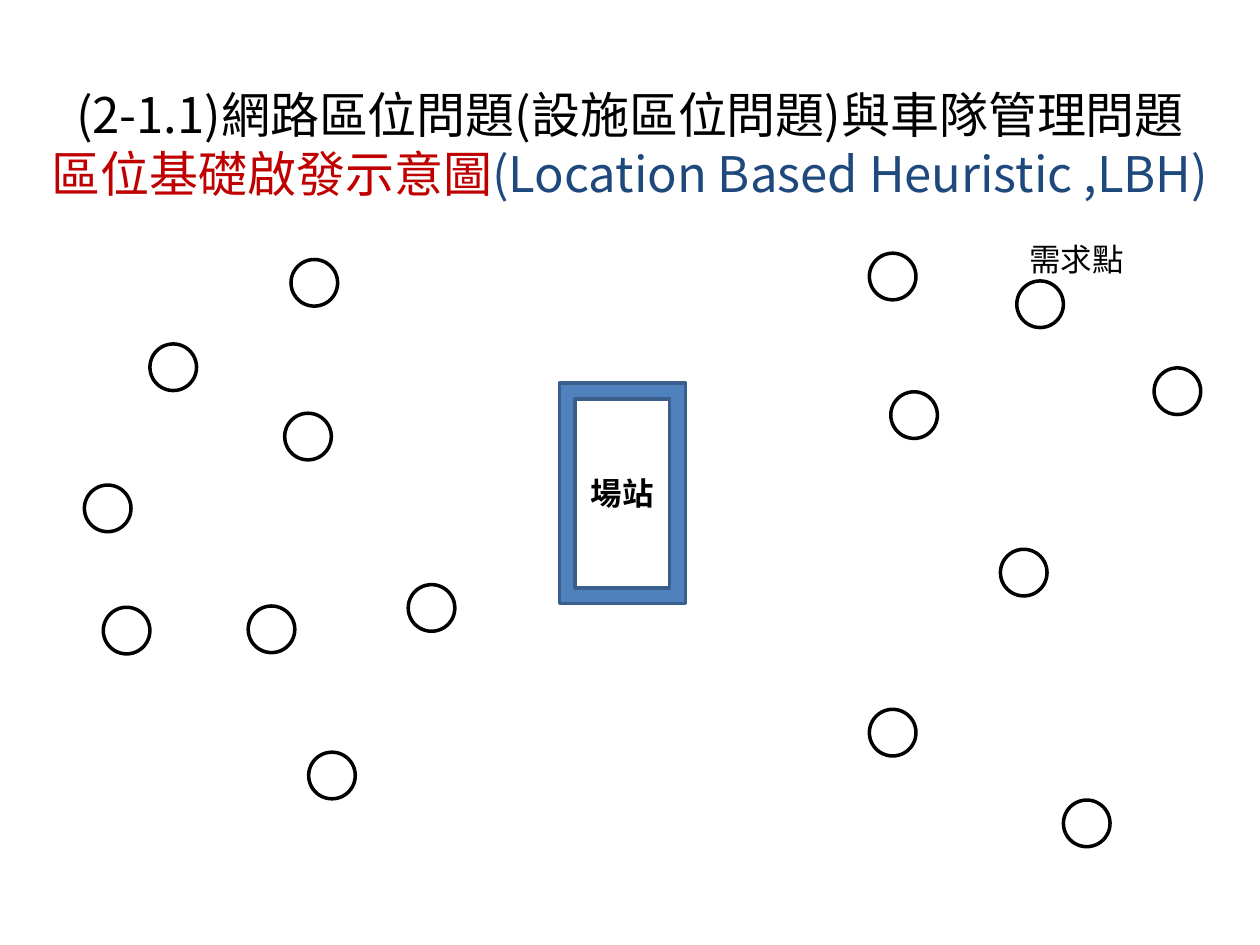
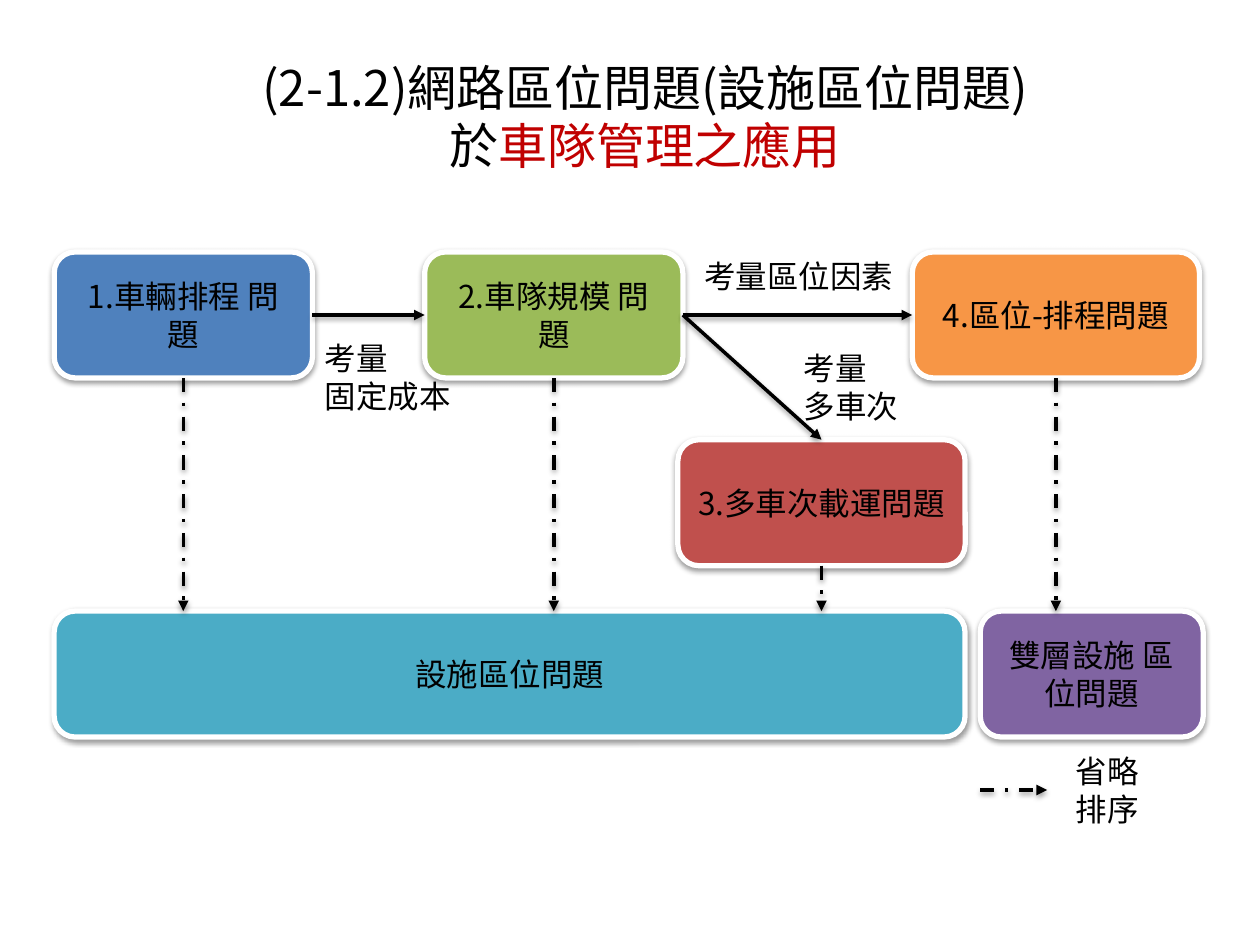
from lxml import etree
from pptx import Presentation
from pptx.dml.color import RGBColor
from pptx.enum.dml import MSO_LINE
from pptx.enum.shapes import MSO_CONNECTOR, MSO_SHAPE
from pptx.enum.text import MSO_ANCHOR, MSO_AUTO_SIZE, PP_ALIGN
from pptx.oxml.ns import qn
from pptx.util import Inches, Pt

STRAIGHT = MSO_CONNECTOR.STRAIGHT
OVAL, FRAME, ROUNDED = MSO_SHAPE.OVAL, MSO_SHAPE.FRAME, MSO_SHAPE.ROUNDED_RECTANGLE
DASH_DOT = MSO_LINE.DASH_DOT
LEFT, CENTER = PP_ALIGN.LEFT, PP_ALIGN.CENTER
MIDDLE = MSO_ANCHOR.MIDDLE
TOP_SIDE, LEFT_SIDE, BOTTOM_SIDE, RIGHT_SIDE = range(4)

FONT = "Noto Sans CJK SC"
COLORS = {
    "ink": "000000", "paper": "FFFFFF", "red": "C00000", "navy": "1F497D",
    "blue": "4F81BD", "blue_edge": "3A5F8C", "green": "9BBB59", "brick": "C0504D",
    "orange": "F79646", "aqua": "4BACC6", "purple": "8064A2",
}

# Slide 1: each run is (text, colour); lengths are inches
MAP_TITLE = [
    ("(2-1.1)網路區位問題(設施區位問題)與車隊管理問題\n", "ink"),
    ("區位基礎啟發示意圖", "red"),
    ("(Location Based Heuristic ,LBH)", "navy"),
]
DEMAND_SIZE = 0.37
DEMAND_POINTS = [
    (0.82, 4.82), (1.19, 2.73), (2.31, 2.06), (0.67, 3.85),
    (1.97, 4.81), (2.26, 3.28), (2.45, 5.97), (3.24, 4.64),
    (6.9, 2.01), (7.07, 3.11), (8.07, 2.23), (9.16, 2.92),
    (7.94, 4.36), (6.9, 5.63), (8.44, 6.35),
]
DEPOT = ("場站", (4.44, 3.04, 1, 1.75))
DEMAND_LABEL = (["需求點"], (8.07, 1.86, 0.96, 0.4))

# Slide 2
FLOW_TITLE = [("(2-1.2)網路區位問題(設施區位問題)\n於", "ink"), ("車隊管理之應用", "red")]
ROWS = {"problems": 2, "multi_trip": 3.49, "facilities": 4.85}
NODE_HEIGHT = 1
NODES = {  # key: text, colour, row, left, width
    "routing": ("1.車輛排程 問題", "blue", "problems", 0.43, 2.05),
    "fleet": ("2.車隊規模 問題", "green", "problems", 3.37, 2.05),
    "multi_trip": ("3.多車次載運問題", "brick", "multi_trip", 5.38, 2.28),
    "location_routing": ("4.區位-排程問題", "orange", "problems", 7.24, 2.28),
    "facility": ("設施區位問題", "aqua", "facilities", 0.43, 7.23),
    "two_level": ("雙層設施 區位問題", "purple", "facilities", 7.78, 1.77),
}
EXTENSIONS = [
    ("routing", "fleet", LEFT_SIDE),
    ("fleet", "location_routing", LEFT_SIDE),
    ("fleet", "multi_trip", TOP_SIDE),
]
SIMPLIFIED = ["routing", "fleet", "multi_trip", "location_routing"]
LEGEND_ARROW = ((7.78, 6.27), (8.31, 6.27))
FLOW_LABELS = [
    (["省略", "排序"], (8.44, 5.92, 0.71, 0.71)),
    (["考量", "多車次"], (6.28, 2.72, 0.96, 0.71)),
    (["考量區位因素"], (5.49, 1.99, 1.72, 0.4)),
    (["考量", "固定成本"], (2.48, 2.64, 1.21, 0.71)),
]


def rgb(name):
    return RGBColor.from_string(COLORS[name])


def inches(values):
    return [Inches(value) for value in values]


def write(frame, paragraphs, size=18, bold=False, align=CENTER):
    """Fill a text frame; a newline inside a run is a line break."""
    for index, runs in enumerate(paragraphs):
        paragraph = frame.add_paragraph() if index else frame.paragraphs[0]
        paragraph.alignment = align
        for text, color in runs:
            for part_index, part in enumerate(text.split("\n")):
                if part_index:
                    paragraph.add_line_break()
                if not part:
                    continue
                run = paragraph.add_run()
                run.text = part
                run.font.size, run.font.bold = Pt(size), bold
                run.font.name = FONT
                run.font.color.rgb = rgb(color)
                east_asian = etree.SubElement(run.font._element, qn("a:ea"))
                east_asian.set("typeface", FONT)


def add_soft_shadow(effects):
    shadow = etree.SubElement(effects, qn("a:outerShdw"), blurRad=str(Pt(3.1)),
                              dist=str(Pt(1.6)), dir="5400000", rotWithShape="0")
    color = etree.SubElement(shadow, qn("a:srgbClr"), val=COLORS["ink"])
    etree.SubElement(color, qn("a:alpha"), val="38000")


def add_block(slide, kind, box, fill, edge, edge_width=2, text="", bold=False, shadow=False):
    block = slide.shapes.add_shape(kind, *inches(box))
    block.fill.solid()
    block.fill.fore_color.rgb = rgb(fill)
    block.line.color.rgb = rgb(edge)
    block.line.width = Pt(edge_width)
    block.shadow.inherit = False
    if shadow:
        add_soft_shadow(block._element.spPr.find(qn("a:effectLst")))
    if text:
        block.text_frame.word_wrap = True
        block.text_frame.vertical_anchor = MIDDLE
        write(block.text_frame, [[(text, "ink")]], bold=bold)
    return block


def add_label(slide, lines, box):
    frame = slide.shapes.add_textbox(*inches(box)).text_frame
    frame.word_wrap = False
    frame.auto_size = MSO_AUTO_SIZE.SHAPE_TO_FIT_TEXT
    write(frame, [[(line, "ink")] for line in lines], align=LEFT)


def add_arrow(slide, start, end, dash=None):
    arrow = slide.shapes.add_connector(STRAIGHT, *start, *end)
    arrow.line.color.rgb = rgb("ink")
    arrow.line.width = Pt(2)
    if dash:
        arrow.line.dash_style = dash
    properties = arrow._element.spPr
    etree.SubElement(properties.find(qn("a:ln")), qn("a:tailEnd"), type="triangle")
    add_soft_shadow(etree.SubElement(properties, qn("a:effectLst")))
    return arrow


def add_titled_slide(deck, runs, box, bottom_inset=0.05):
    slide = deck.slides.add_slide(deck.slide_layouts[5])
    title = slide.shapes.title
    title.left, title.top, title.width, title.height = inches(box)
    frame = title.text_frame
    frame.auto_size = MSO_AUTO_SIZE.NONE
    frame.vertical_anchor = MIDDLE
    frame.margin_bottom = Inches(bottom_inset)
    write(frame, [runs], size=28)
    return slide


def build_demand_map(deck):
    slide = add_titled_slide(deck, MAP_TITLE, (0, 0.6, 10, 1.54), bottom_inset=0.51)
    for left, top in DEMAND_POINTS:
        add_block(slide, OVAL, (left, top, DEMAND_SIZE, DEMAND_SIZE), "paper", "ink")
    depot_text, depot_box = DEPOT
    add_block(slide, FRAME, depot_box, "blue", "blue_edge", text=depot_text, bold=True)
    add_label(slide, *DEMAND_LABEL)


def build_problem_flow(deck):
    slide = add_titled_slide(deck, FLOW_TITLE, (0.47, 0.17, 9.3, 1.5))
    nodes = {
        key: add_block(slide, ROUNDED, (left, ROWS[row], width, NODE_HEIGHT), color,
                       "paper", edge_width=3, text=text, shadow=True)
        for key, (text, color, row, left, width) in NODES.items()
    }

    # Solid arrows: one problem extends another
    for source, target, side in EXTENSIONS:
        arrow = add_arrow(slide, (0, 0), (0, 0))
        arrow.begin_connect(nodes[source], RIGHT_SIDE)
        arrow.end_connect(nodes[target], side)

    # Dashed arrows: straight down to the facility row
    for key in SIMPLIFIED:
        node = nodes[key]
        middle = node.left + node.width // 2
        arrow = add_arrow(slide, (middle, node.top + node.height),
                          (middle, Inches(ROWS["facilities"])), dash=DASH_DOT)
        arrow.begin_connect(node, BOTTOM_SIDE)

    # Legend and arrow labels
    start, end = LEGEND_ARROW
    add_arrow(slide, inches(start), inches(end), dash=DASH_DOT)
    for lines, box in FLOW_LABELS:
        add_label(slide, lines, box)


def main():
    deck = Presentation()
    deck.slide_width, deck.slide_height = Inches(10), Inches(7.5)
    build_demand_map(deck)
    build_problem_flow(deck)
    deck.save("out.pptx")


if __name__ == "__main__":
    main()
